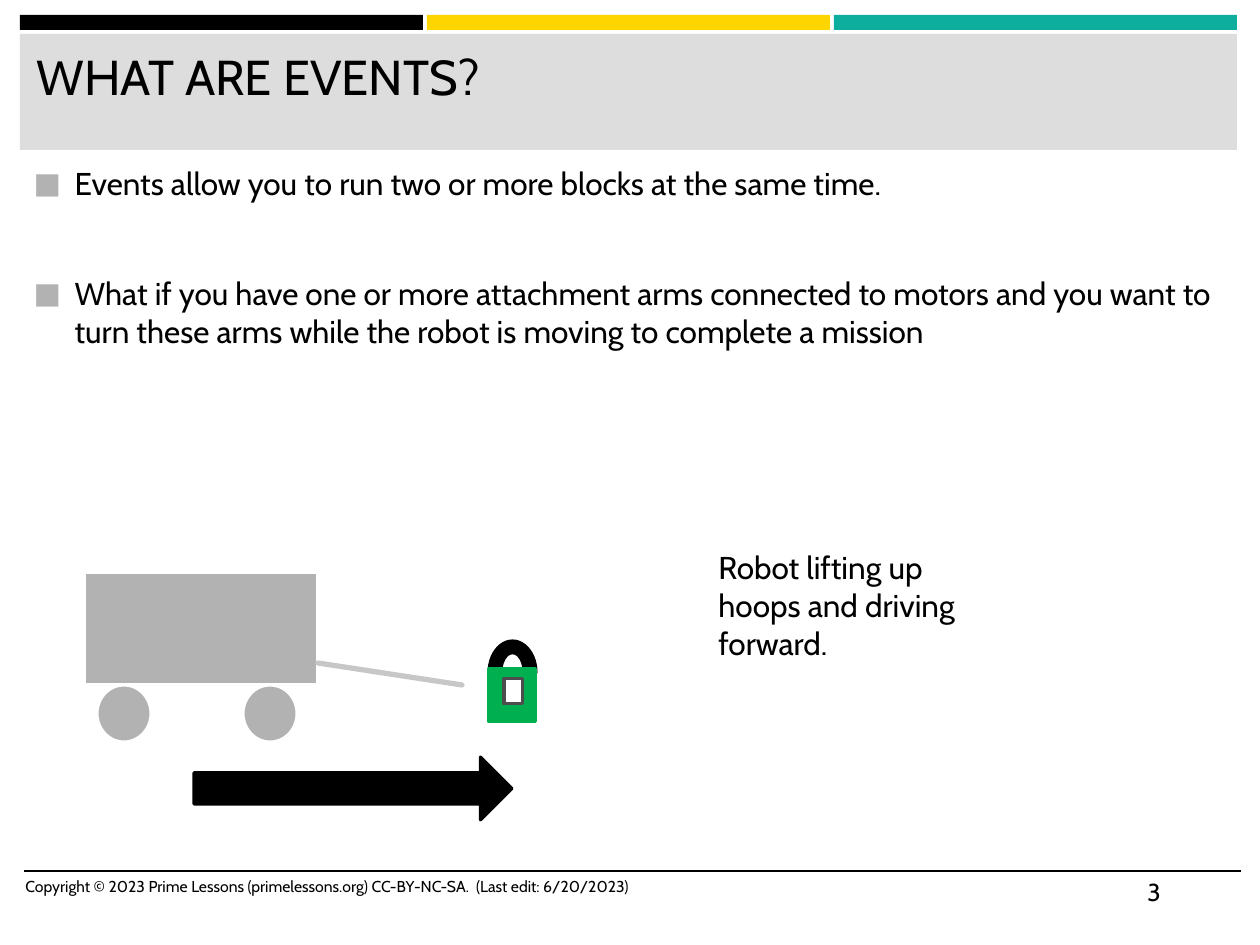
from lxml.etree import SubElement
from pptx import Presentation
from pptx.dml.color import RGBColor
from pptx.enum.shapes import MSO_CONNECTOR as Connector, MSO_SHAPE as Shape
from pptx.enum.text import MSO_ANCHOR as Anchor, MSO_AUTO_SIZE as AutoSize, PP_ALIGN as Align
from pptx.oxml.ns import qn
from pptx.util import Inches, Pt

PX_PER_INCH = 126
FONT = "Cabin"
COLORS = {
    "black": "000000", "yellow": "FFD500", "teal": "0EAE9F", "band": "DDDDDD",
    "gray": "B2B2B2", "arm": "C7C7C7", "green": "00B050", "dark": "4D4D4D",
    "white": "FFFFFF",
}


def px(length):
    return round(length * Inches(1) / PX_PER_INCH)


def color(name):
    return RGBColor.from_string(COLORS[name])


def add_block(parent, kind, box, fill, line=None):
    block = parent.shapes.add_shape(kind, *map(px, box))
    block.shadow.inherit = False
    block.fill.solid()
    block.fill.fore_color.rgb = color(fill)
    if line:
        block.line.color.rgb = color(line)
        block.line.width = Pt(1.75)
        SubElement(block.line._get_or_add_ln(), qn("a:round"))
    else:
        block.line.fill.background()
    return block


def add_line(page, start, end, line, width):
    stroke = page.shapes.add_connector(Connector.STRAIGHT, *map(px, start + end))
    stroke.line.color.rgb = color(line)
    stroke.line.width = Pt(width)
    SubElement(stroke._element.spPr, qn("a:effectLst"))
    return stroke


def add_span(para, text, size):
    span = para.add_run()
    span.text = text
    span.font.name = FONT
    span.font.size = Pt(size)
    span.font.color.rgb = color("black")


def place(holder, box):
    holder.left, holder.top, holder.width, holder.height = map(px, box)
    frame = holder.text_frame
    frame.word_wrap = True
    frame.auto_size = AutoSize.NONE
    frame.vertical_anchor = Anchor.TOP
    return frame


def add_label(page, box, text, size):
    label = page.shapes.add_textbox(*map(px, box))
    frame = place(label, box)
    add_span(frame.paragraphs[0], text, size)


def add_bullet(para):
    props = para._p.get_or_add_pPr()
    props.set("marL", str(px(41)))
    props.set("indent", str(-px(41)))
    tint = SubElement(props, qn("a:buClr"))
    SubElement(tint, qn("a:srgbClr"), val=COLORS["gray"])
    SubElement(props, qn("a:buSzPct"), val="92000")
    SubElement(props, qn("a:buFont"), typeface=FONT)
    SubElement(props, qn("a:buChar"), char="■")


def add_header(page, box, text):
    left, top, width, height = box
    # Three stripes with equal gaps above the title band
    gap, stripe = 4, 15
    bar = (width - 2 * gap) / 3
    for column, fill in enumerate(("black", "yellow", "teal")):
        add_block(page, Shape.RECTANGLE,
                  (left + column * (bar + gap), top, bar, stripe), fill)
    add_block(page, Shape.RECTANGLE, (left, top + 19, width, height - 19), "band")

    # Title, raised above the band
    title = page.shapes.title
    page.shapes._spTree.append(title._element)
    frame = place(title, (left + 4, top + 25, width - 11, height - 32))
    para = frame.paragraphs[0]
    para.alignment = Align.LEFT
    add_span(para, text, 28)


def add_body(page, box, points):
    frame = place(page.placeholders[1], box)
    for index, text in enumerate(points):
        para = frame.add_paragraph() if index else frame.paragraphs[0]
        add_bullet(para)
        para.space_before = Pt(35 if index else 0)
        para.space_after = Pt(6)
        add_span(para, text, 18)


def add_robot(page, box):
    left, top, width, height = box
    robot = page.shapes.add_group_shape()
    add_block(robot, Shape.RECTANGLE, (left, top, width, 112), "gray", "white")
    for offset in (13, 159):
        add_block(robot, Shape.OVAL, (left + offset, top + 112, 54, height - 112),
                  "gray", "white")
    # Lifting arm
    arm = add_line(page, (left + width, top + 90), (left + width + 144, top + 112),
                   "arm", 3)
    arm.line._get_or_add_ln().set("cap", "rnd")


def add_hoop(page, box):
    left, top, width, height = box
    hoop = page.shapes.add_group_shape()
    add_block(hoop, Shape.BLOCK_ARC, (left, top, width, 63), "black", "black")
    add_block(hoop, Shape.RECTANGLE, (left, top + 28, width, height - 28),
              "green", "green")
    add_block(hoop, Shape.RECTANGLE, (left + 15, top + 38, 19, 25), "white", "dark")


def add_footer(page, box, credit, number):
    left, top, width, height = box
    add_line(page, (left, top), (left + width, top), "black", 1)
    add_label(page, (left - 11, top, 672, height), credit, 9)
    add_label(page, (left + width - 106, top, 106, height), number, 14)


def main():
    deck = Presentation()
    deck.slide_width, deck.slide_height = Inches(10), Inches(7.5)
    page = deck.slides.add_slide(deck.slide_layouts[1])

    add_header(page, (20, 15, 1217, 135), "WHAT ARE EVENTS?")
    add_body(page, (21, 158, 1217, 701), [
        "Events allow you to run two or more blocks at the same time.",
        "What if you have one or more attachment arms connected to motors and you "
        "want to turn these arms while the robot is moving to complete a mission",
    ])
    add_footer(page, (24, 871, 1217, 50),
               "Copyright © 2023 Prime Lessons (primelessons.org) CC-BY-NC-SA.  "
               "(Last edit: 6/20/2023)", "3")

    # Robot driving towards the hoop
    add_label(page, (706, 542, 286, 127),
              "Robot lifting up hoops and driving forward.", 18)
    add_robot(page, (84, 573, 234, 169))
    add_hoop(page, (489, 641, 47, 81))
    add_block(page, Shape.RIGHT_ARROW, (194, 757, 318, 63), "black", "black")

    deck.save("out.pptx")


if __name__ == "__main__":
    main()
